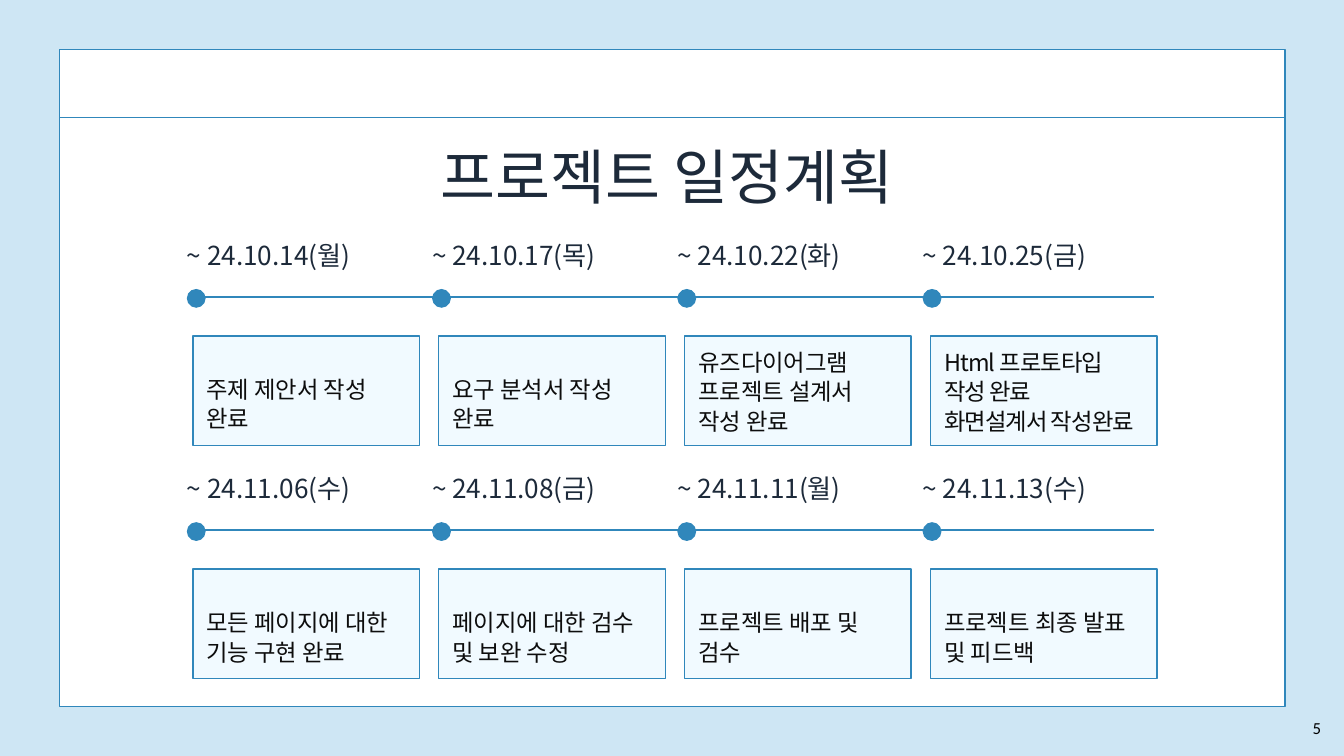
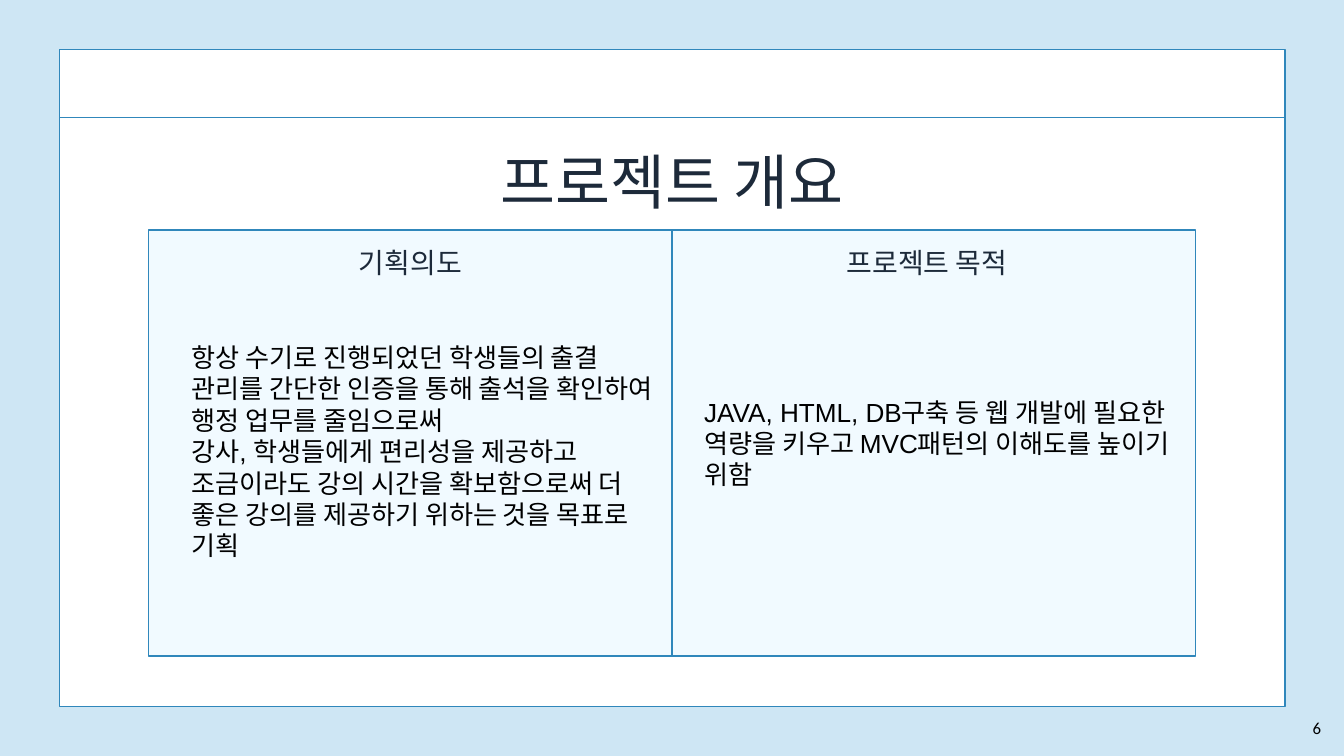
from dataclasses import dataclass
from typing import NamedTuple

from lxml.etree import SubElement
from pptx import Presentation
from pptx.dml.color import RGBColor as RGB
from pptx.enum.shapes import MSO_CONNECTOR as CONN, MSO_SHAPE as SHAPE
from pptx.enum.text import MSO_ANCHOR as ANCHOR, MSO_AUTO_SIZE as FIT, PP_ALIGN as ALIGN
from pptx.oxml.ns import qn
from pptx.util import Inches, Pt


@dataclass(frozen=True)
class Theme:
    sky: str = "CEE6F4"
    paper: str = "FFFFFF"
    blue: str = "3087BB"
    card: str = "F1FAFF"
    navy: str = "1D2A3A"
    ink: str = "0D0D0D"
    black: str = "000000"
    korean: str = "Noto Sans CJK KR"
    body_font: str = "Arial"
    number_font: str = "Calibri"
    title: float = 64
    heading: float = 30
    body: float = 28
    date: float = 28
    task: float = 25
    number: float = 18
    title_pitch: float = 89.6
    heading_pitch: float = 33.6
    task_pitch: float = 31.9
    outline: float = 1.5
    timeline: float = 2


class Box(NamedTuple):
    left: float
    top: float
    width: float
    height: float


class Milestone(NamedTuple):
    date: str
    task: str
    text_top: float = 0.55
    text_height: float = 0.89
    tracking: int = 0


class Panel(NamedTuple):
    left: float
    heading: str
    heading_box: Box
    body: str
    body_box: Box


T = Theme()
TITLE_ONLY = 5
FRAME = Box(0.89, 0.74, 18.23, 9.77)
BAND_Y = 1.75
COLUMN_LEFT, COLUMN_STEP = 2.78, 3.65
CARD_LEFT, CARD_STEP = 2.87, 3.66
ROW_STEP = 3.47

SCHEDULE = [
    [
        Milestone("~ 24.10.14(월)", "주제 제안서 작성 완료"),
        Milestone("~ 24.10.17(목)", "요구 분석서 작성 완료"),
        Milestone("~ 24.10.22(화)", "유즈다이어그램\n프로젝트 설계서 작성 완료", 0.15, 1.32),
        Milestone("~ 24.10.25(금)", "Html 프로토타입 작성 완료\n화면설계서 작성완료", 0.15, 1.32, -100),
    ],
    [
        Milestone("~ 24.11.06(수)", "모든 페이지에 대한 기능 구현 완료"),
        Milestone("~ 24.11.08(금)", "페이지에 대한 검수 및 보완 수정"),
        Milestone("~ 24.11.11(월)", "프로젝트 배포 및 검수"),
        Milestone("~ 24.11.13(수)", "프로젝트 최종 발표 및 피드백"),
    ],
]

PANELS = [
    Panel(
        10, "프로젝트 목적", Box(12.6, 3.69, 2.59, 0.48),
        "JAVA, HTML, DB구축 등 웹 개발에 필요한 역량을 키우고 MVC패턴의 이해도를 높이기 위함",
        Box(10.38, 4.76, 7.25, 3.67),
    ),
    Panel(
        2.21, "기획의도", Box(5.34, 3.69, 1.6, 0.48),
        "항상 수기로 진행되었던 학생들의 출결 관리를 간단한 인증을 통해 출석을 확인하여 "
        "행정 업무를 줄임으로써\n"
        "강사, 학생들에게 편리성을 제공하고 조금이라도 강의 시간을 확보함으로써 더 "
        "좋은 강의를 제공하기 위하는 것을 목표로 기획",
        Box(2.75, 4.88, 7.25, 3.67),
    ),
]


def inches(box: Box) -> list:
    return [Inches(v) for v in box]


def write(tf, text: str, *, size: float, color: str, font: str = T.korean,
          pitch: float = 0, align=ALIGN.LEFT, anchor=ANCHOR.TOP,
          inset: bool = False, tracking: int = 0) -> None:
    tf.word_wrap = True
    tf.auto_size = FIT.NONE
    tf.vertical_anchor = anchor
    if not inset:
        tf.margin_left = tf.margin_right = tf.margin_top = tf.margin_bottom = 0
    for i, line in enumerate(text.split("\n")):
        p = tf.add_paragraph() if i else tf.paragraphs[0]
        p.alignment = align
        if pitch:
            p.line_spacing = Pt(pitch)
        r = p.add_run()
        r.text = line
        r.font.name, r.font.size = font, Pt(size)
        r.font.color.rgb = RGB.from_string(color)
        rpr = r.font._element
        SubElement(rpr, qn("a:ea")).set("typeface", T.korean)
        if tracking:
            rpr.set("spc", str(tracking))


def add_text(s, box: Box, text: str, **fmt) -> None:
    write(s.shapes.add_textbox(*inches(box)).text_frame, text, **fmt)


def add_block(s, box: Box, fill: str, kind=SHAPE.RECTANGLE, outlined: bool = True):
    sp = s.shapes.add_shape(kind, *inches(box))
    sp.shadow.inherit = False
    sp.fill.solid()
    sp.fill.fore_color.rgb = RGB.from_string(fill)
    if outlined:
        sp.line.color.rgb = RGB.from_string(T.blue)
        sp.line.width = Pt(T.outline)
    else:
        sp.line.fill.background()
    return sp


def add_rule(s, left: float, right: float, y: float, width: float):
    cx = s.shapes.add_connector(CONN.STRAIGHT, *inches((left, y, right, y)))
    cx.line.color.rgb = RGB.from_string(T.blue)
    cx.line.width = Pt(width)
    SubElement(cx.element.spPr, qn("a:effectLst"))
    return cx


def dress_layout(layout, s) -> None:
    layout.background.fill.solid()
    layout.background.fill.fore_color.rgb = RGB.from_string(T.sky)
    tree = layout.shapes.element
    for ph in list(layout.placeholders):
        if ph.placeholder_format.idx:
            tree.remove(ph.element)
    for sp in (add_block(s, FRAME, T.paper),
               add_rule(s, FRAME.left, FRAME.left + FRAME.width, BAND_Y, T.outline)):
        tree.append(sp.element)


def start_slide(s, title: str, box: Box, number: int) -> None:
    sp = s.shapes.title
    sp.left, sp.top, sp.width, sp.height = inches(box)
    write(sp.text_frame, title, size=T.title, color=T.navy,
          pitch=T.title_pitch, align=ALIGN.CENTER)
    add_text(s, Box(19.22, 10.62, 0.75, 0.42), str(number), size=T.number, color=T.black,
             font=T.number_font, align=ALIGN.CENTER, anchor=ANCHOR.MIDDLE, inset=True)


def add_timeline(s, milestones: list[Milestone], dy: float) -> None:
    add_rule(s, 2.89, 17.17, 4.42 + dy, T.timeline)
    for i, m in enumerate(milestones):
        x = COLUMN_LEFT + i * COLUMN_STEP
        card = Box(CARD_LEFT + i * CARD_STEP, 5 + dy, 3.37, 1.63)
        add_block(s, Box(x, 4.3 + dy, 0.28, 0.28), T.blue, SHAPE.OVAL, outlined=False)
        add_block(s, card, T.card)
        add_text(s, Box(x, 3.56 + dy, 2.97, 0.48), m.date,
                 size=T.date, color=T.navy, pitch=T.heading_pitch)
        add_text(s, Box(card.left + 0.2, card.top + m.text_top, 2.97, m.text_height), m.task,
                 size=T.task, color=T.ink, pitch=T.task_pitch, tracking=m.tracking)


def add_panel(s, panel: Panel) -> None:
    add_block(s, Box(panel.left, 3.42, 7.79, 6.34), T.card)
    add_text(s, panel.heading_box, panel.heading,
             size=T.heading, color=T.navy, pitch=T.heading_pitch)
    add_text(s, panel.body_box, panel.body, size=T.body, color=T.black,
             font=T.body_font, anchor=ANCHOR.MIDDLE, inset=True)


def main() -> None:
    prs = Presentation()
    prs.slide_width, prs.slide_height = Inches(20), Inches(11.25)
    layout = prs.slide_layouts[TITLE_ONLY]
    schedule, overview = (prs.slides.add_slide(layout) for _ in range(2))
    dress_layout(layout, schedule)

    start_slide(schedule, "프로젝트 일정계획", Box(5.88, 1.9, 8.09, 1.26), 5)
    for row, milestones in enumerate(SCHEDULE):
        add_timeline(schedule, milestones, row * ROW_STEP)

    start_slide(overview, "프로젝트 개요", Box(6.94, 1.97, 6.13, 1.26), 6)
    for panel in PANELS:
        add_panel(overview, panel)

    prs.save("out.pptx")


if __name__ == "__main__":
    main()
